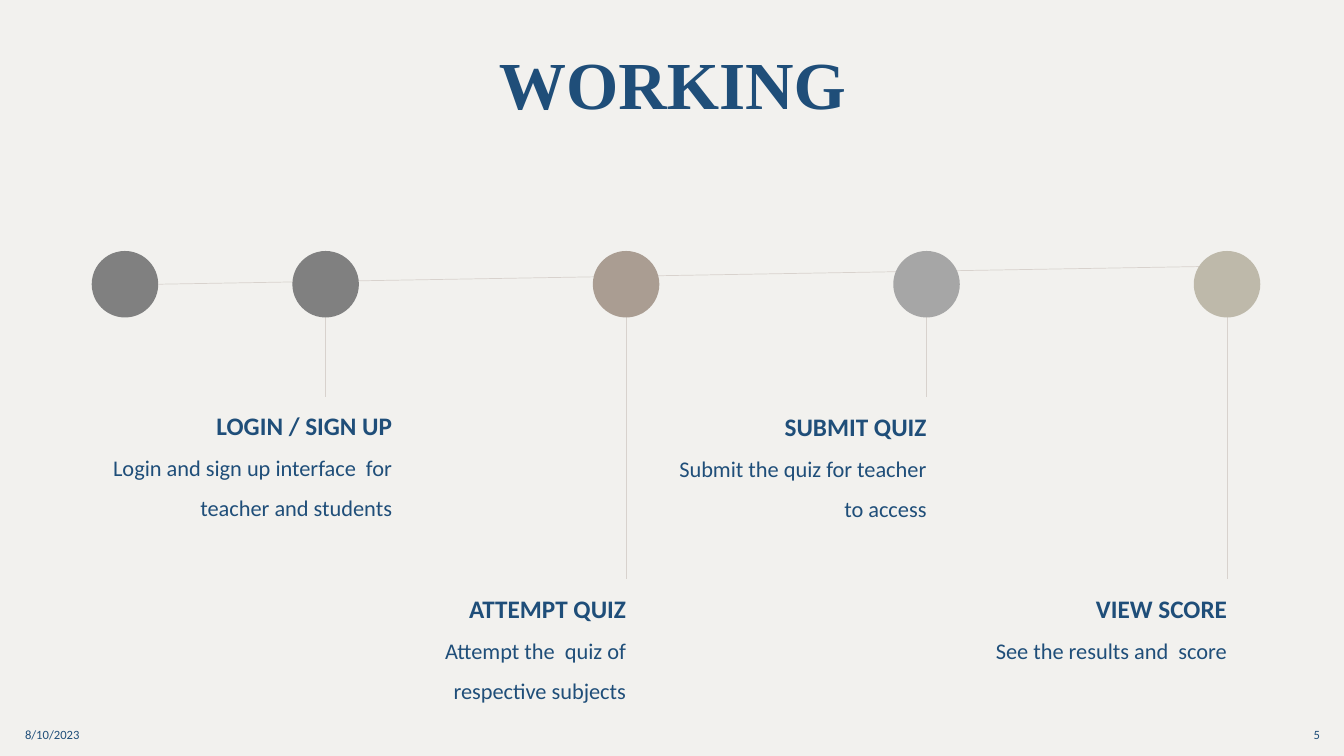
from dataclasses import dataclass

from lxml.etree import SubElement
from pptx import Presentation
from pptx.dml.color import RGBColor
from pptx.enum.shapes import MSO_CONNECTOR as Connector, MSO_SHAPE as Preset
from pptx.enum.text import MSO_ANCHOR as Anchor, MSO_AUTO_SIZE as AutoSize, PP_ALIGN as Align
from pptx.oxml.ns import qn
from pptx.slide import Slide
from pptx.text.text import TextFrame
from pptx.util import Emu, Pt

PX = 9144
BACKGROUND = RGBColor(0xF2, 0xF1, 0xEE)
NAVY = RGBColor(0x1F, 0x4E, 0x79)
RULE = RGBColor(0xD8, 0xD2, 0xCD)
GRAY = RGBColor(0x80, 0x80, 0x80)
TAUPE = RGBColor(0xAA, 0x9D, 0x92)
SILVER = RGBColor(0xA6, 0xA6, 0xA6)
SAND = RGBColor(0xBE, 0xB9, 0xAA)

DOT_SIZE = 66
DOT_TOP = 249
START_X = 124
FIRST_STEP_X = 323
STEP_GAP = 298
STEM_TOP = 284
CAPTION_HEIGHT = 117


@dataclass(frozen=True)
class Step:
    """A stage of the timeline with its caption."""
    heading: str
    detail: str
    color: RGBColor
    stem_bottom: int
    caption_top: int
    caption_width: int = 270
    caption_shift: int = 0


STEPS = (
    Step("LOGIN / SIGN UP", "Login and sign up interface  for teacher and students",
         GRAY, 394, 402, 337, 66),
    Step("ATTEMPT QUIZ", "Attempt the  quiz of respective subjects", TAUPE, 574, 584),
    Step("SUBMIT QUIZ", "Submit the quiz for teacher to access", SILVER, 394, 403),
    Step("VIEW SCORE", "See the results and  score", SAND, 574, 584),
)


def px(length: int) -> Emu:
    """Convert px to EMU."""
    return Emu(length * PX)


def add_frame(slide: Slide, left: int, top: int, width: int, height: int,
              anchor: Anchor = Anchor.MIDDLE) -> TextFrame:
    """Add a wrapping text box and return its text frame."""
    frame = slide.shapes.add_textbox(px(left), px(top), px(width), px(height)).text_frame
    frame.word_wrap = True
    frame.vertical_anchor = anchor
    return frame


def write(frame: TextFrame, text: str, *, size: int, font: str = "Calibri", bold: bool = False,
          align: Align = Align.RIGHT, spacing: float = 1.0, new: bool = False) -> None:
    """Write one formatted paragraph into a text frame."""
    paragraph = frame.add_paragraph() if new else frame.paragraphs[0]
    paragraph.alignment = align
    paragraph.line_spacing = spacing
    run = paragraph.add_run()
    run.text = text
    run.font.size = Pt(size)
    run.font.name = font
    run.font.bold = bold
    run.font.color.rgb = NAVY


def add_rule(slide: Slide, x1: int, y1: int, x2: int, y2: int) -> None:
    """Draw a thin straight line."""
    rule = slide.shapes.add_connector(Connector.STRAIGHT, px(x1), px(y1), px(x2), px(y2))
    rule.line.color.rgb = RULE
    rule.line.width = Pt(0.5)
    SubElement(rule.element.spPr, qn("a:effectLst"))


def add_dot(slide: Slide, center: int, color: RGBColor) -> None:
    """Draw a timeline dot."""
    dot = slide.shapes.add_shape(Preset.OVAL, px(center - DOT_SIZE // 2), px(DOT_TOP),
                                 px(DOT_SIZE), px(DOT_SIZE))
    dot.shadow.inherit = False
    dot.fill.solid()
    dot.fill.fore_color.rgb = color
    dot.line.fill.background()


def add_caption(slide: Slide, step: Step, center: int) -> None:
    """Write the heading and detail of a step."""
    left = center + step.caption_shift - step.caption_width
    caption = add_frame(slide, left, step.caption_top, step.caption_width, CAPTION_HEIGHT,
                        Anchor.TOP)
    caption.margin_right = 0
    caption.auto_size = AutoSize.SHAPE_TO_FIT_TEXT
    write(caption, step.heading, size=18, bold=True)
    write(caption, step.detail, size=16, spacing=1.5, new=True)


def main() -> None:
    """Build and save the slide."""
    deck = Presentation()
    deck.slide_width, deck.slide_height = px(1333), px(750)
    slide = deck.slides.add_slide(deck.slide_layouts[6])
    slide.background.fill.solid()
    slide.background.fill.fore_color.rgb = BACKGROUND

    title = add_frame(slide, 92, 15, 1150, 145)
    write(title, "WORKING", size=48, font="Times New Roman", bold=True,
          align=Align.CENTER, spacing=0.9)

    centers = [FIRST_STEP_X + index * STEP_GAP for index in range(len(STEPS))]
    for step, center in zip(STEPS, centers):
        add_rule(slide, center, STEM_TOP, center, step.stem_bottom)
    add_rule(slide, START_X + DOT_SIZE // 2, DOT_TOP + DOT_SIZE // 2, centers[-1], 264)

    add_dot(slide, START_X, GRAY)
    for step, center in zip(STEPS, centers):
        add_dot(slide, center, step.color)
        add_caption(slide, step, center)

    date = add_frame(slide, 15, 709, 300, 40)
    write(date, "8/10/2023", size=9, align=Align.LEFT)
    page_number = add_frame(slide, 1019, 709, 300, 40)
    write(page_number, "5", size=9)

    deck.save("out.pptx")


if __name__ == "__main__":
    main()
